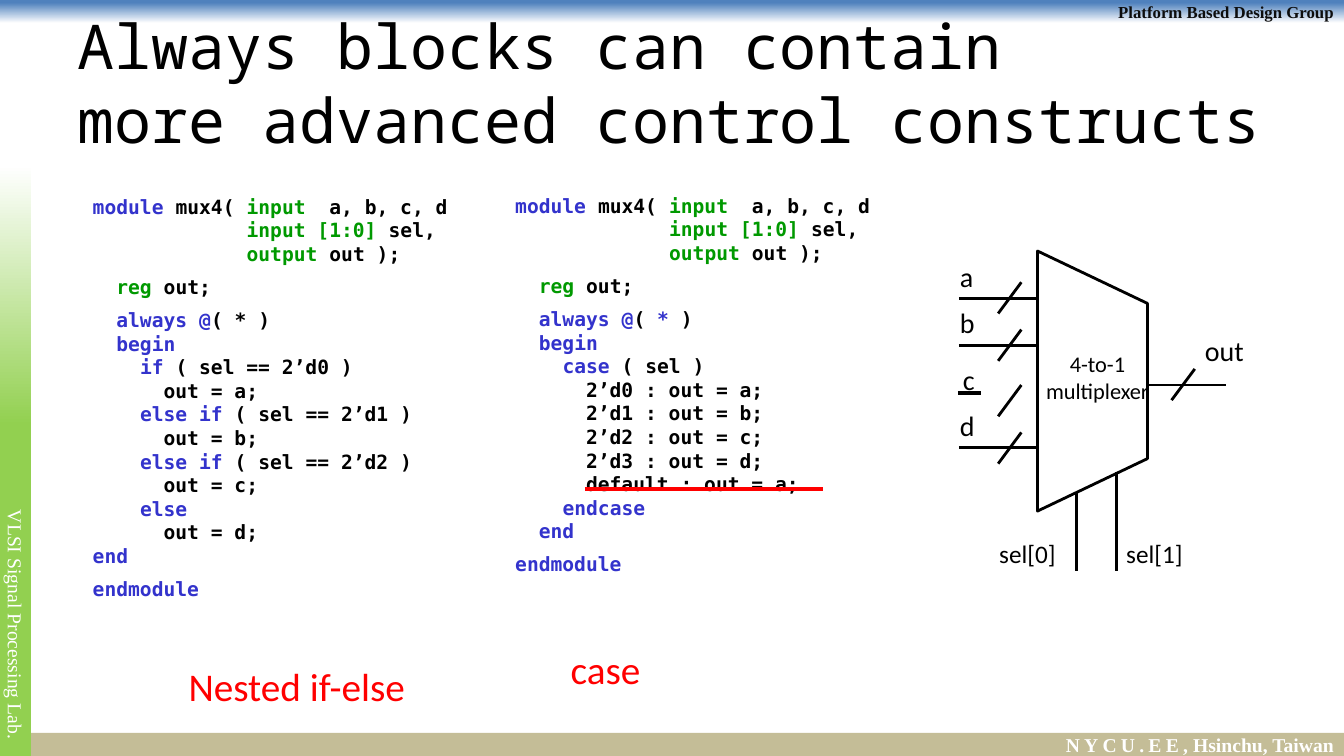
from pptx import Presentation
from pptx.dml.color import RGBColor
from pptx.enum.shapes import MSO_CONNECTOR, MSO_SHAPE
from pptx.enum.text import MSO_ANCHOR, MSO_AUTO_SIZE, PP_ALIGN
from pptx.oxml.ns import qn
from pptx.util import Inches, Pt
from lxml import etree

STRAIGHT, RECTANGLE = MSO_CONNECTOR.STRAIGHT, MSO_SHAPE.RECTANGLE
MIDDLE, NO_AUTOFIT = MSO_ANCHOR.MIDDLE, MSO_AUTO_SIZE.NONE
LEFT, CENTER, RIGHT = PP_ALIGN.LEFT, PP_ALIGN.CENTER, PP_ALIGN.RIGHT

BLACK = RGBColor(0, 0, 0)
WHITE = RGBColor(0xFF, 0xFF, 0xFF)
RED = RGBColor(0xFF, 0, 0)
INK = RGBColor(0x0D, 0x0D, 0x0D)
SKY = RGBColor(0x4F, 0x81, 0xBD)
SAND = RGBColor(0xC4, 0xBD, 0x97)
LEAF = RGBColor(0x92, 0xD0, 0x50)
KEYWORD = RGBColor(0x33, 0x33, 0xCC)
TYPE = RGBColor(0, 0x99, 0)

BODY, CODE, HEADING, BAND = "Calibri", "DejaVu Sans Mono", "Noto Sans Mono", "Times New Roman"

HEADER = [
    [("module", KEYWORD), (" mux4( ", BLACK), ("input", TYPE), ("  a, b, c, d", BLACK)],
    [("             ", BLACK), ("input [1:0] ", TYPE), ("sel,", BLACK)],
    [("             ", BLACK), ("output", TYPE), (" out );", BLACK)],
    [("  ", BLACK), ("reg", TYPE), (" out;", BLACK)],
]
BEGIN = [("  ", BLACK), ("begin", KEYWORD)]
ENDMODULE = [("endmodule", KEYWORD)]


def branch(keyword, condition, value):
    return [
        [("    ", BLACK), (keyword, KEYWORD), (condition, BLACK)],
        [(f"      out = {value};", BLACK)],
    ]


IF_ELSE = [
    *HEADER,
    [("  ", BLACK), ("always @", KEYWORD), ("( * )", BLACK)],
    BEGIN,
    *branch("if", " ( sel == 2’d0 )", "a"),
    *branch("else if", " ( sel == 2’d1 )", "b"),
    *branch("else if", " ( sel == 2’d2 )", "c"),
    *branch("else", "", "d"),
    [("end", KEYWORD)],
    ENDMODULE,
]
CASE = [
    *HEADER,
    [("  ", BLACK), ("always @", KEYWORD), ("( ", BLACK), ("*", KEYWORD), (" )", BLACK)],
    BEGIN,
    [("    ", BLACK), ("case", KEYWORD), (" ( sel )", BLACK)],
    *[[(f"      2’d{i} : out = {value};", BLACK)] for i, value in enumerate("abcd")],
    [("      default : out = a;", BLACK)],
    [("    ", BLACK), ("endcase", KEYWORD)],
    [("  ", BLACK), ("end", KEYWORD)],
    ENDMODULE,
]


class SlideBuilder:
    def __init__(self, slide):
        self.slide = slide

    def run(self, paragraph, text, size, color, font=BODY, bold=False, spacing=0):
        run = paragraph.add_run()
        run.text = text
        run.font.name = font
        run.font.size = Pt(size)
        run.font.bold = bold
        run.font.color.rgb = color
        if spacing:
            run.font._element.set("spc", str(spacing * 100))

    def title(self, lines):
        shape = self.slide.shapes.title
        shape.left, shape.top = Inches(0.67), Inches(0.3)
        shape.width, shape.height = Inches(12), Inches(1.03)
        shape.element.getparent().append(shape.element)
        frame = shape.text_frame
        frame.auto_size = NO_AUTOFIT
        frame.vertical_anchor = MIDDLE
        paragraph = frame.paragraphs[0]
        paragraph.alignment = LEFT
        for index, line in enumerate(lines):
            if index:
                paragraph.add_line_break()
            self.run(paragraph, line, 44, BLACK, HEADING)

    def band(self, left, top, width, height, color, stop=None, angle=0):
        shape = self.slide.shapes.add_shape(
            RECTANGLE, Inches(left), Inches(top), Inches(width), Inches(height))
        shape.shadow.inherit = False
        shape.line.fill.background()
        if stop is None:
            shape.fill.solid()
            shape.fill.fore_color.rgb = color
        else:
            shape.fill.gradient()
            shape.fill.gradient_angle = angle
            first, last = shape.fill.gradient_stops
            first.position, first.color.rgb = stop, color
            last.position, last.color.rgb = 1, WHITE
        shape.text_frame.vertical_anchor = MIDDLE
        paragraph = shape.text_frame.paragraphs[0]
        paragraph.alignment = RIGHT
        return shape.text_frame, paragraph

    def box(self, left, top, width, height, inset=0.0, wrap=True):
        shape = self.slide.shapes.add_textbox(
            Inches(left), Inches(top), Inches(width), Inches(height))
        frame = shape.text_frame
        frame.word_wrap = wrap
        frame.margin_left = frame.margin_right = Inches(inset)
        frame.margin_top = frame.margin_bottom = Inches(inset)
        return frame

    def label(self, text, left, top, width, height, size=20, color=BLACK):
        frame = self.box(left, top, width, height, wrap=False)
        self.run(frame.paragraphs[0], text, size, color)

    def code(self, lines, left, top, width, height):
        frame = self.box(left, top, width, height, 0.17)
        for index, line in enumerate(lines):
            paragraph = frame.paragraphs[0] if index == 0 else frame.add_paragraph()
            if line in (HEADER[-1], ENDMODULE):
                paragraph.space_before = Pt(7)
            if line is HEADER[-1]:
                paragraph.space_after = Pt(7)
            for text, color in line:
                if text:
                    self.run(paragraph, text, 14, color, CODE, True)

    def line(self, x1, y1, x2, y2, color=BLACK, width=2):
        connector = self.slide.shapes.add_connector(
            STRAIGHT, Inches(x1), Inches(y1), Inches(x2), Inches(y2))
        connector.line.color.rgb = color
        connector.line.width = Pt(width)
        etree.SubElement(connector._element.spPr, qn("a:effectLst"))

    def outline(self, points):
        corners = [(Inches(x), Inches(y)) for x, y in points]
        builder = self.slide.shapes.build_freeform(*corners[0])
        builder.add_line_segments(corners[1:], close=True)
        shape = builder.convert_to_shape()
        shape.shadow.inherit = False
        shape.fill.background()
        shape.line.color.rgb = BLACK
        shape.line.width = Pt(2)


def main():
    presentation = Presentation()
    presentation.slide_width, presentation.slide_height = Inches(13.33), Inches(7.5)
    builder = SlideBuilder(presentation.slides.add_slide(presentation.slide_layouts[5]))

    _, paragraph = builder.band(0, 0, 13.33, 0.23, SKY, 0.12, 270)
    builder.run(paragraph, "Platform Based Design Group", 12, INK, BAND, True)
    _, paragraph = builder.band(0, 7.27, 13.33, 0.23, SAND)
    builder.run(paragraph, "NYCU.EE", 14, WHITE, BAND, True, 3)
    builder.run(paragraph, ", Hsinchu, Taiwan", 14, WHITE, BAND, True)
    frame, paragraph = builder.band(0, 1.64, 0.31, 5.86, LEAF, 0.56, 90)
    frame._txBody.bodyPr.set("vert", "vert")
    frame.margin_top = Inches(3.35)
    paragraph.alignment = CENTER
    builder.run(paragraph, "VLSI Signal Processing Lab.", 14, WHITE, BAND)

    builder.title(["Always blocks can contain ", "more advanced control constructs"])
    builder.code(IF_ELSE, 0.75, 1.76, 3.94, 4.46)
    builder.code(CASE, 4.94, 1.75, 4, 4.23)
    builder.label("Nested if-else", 1.87, 6.57, 2.18, 0.47, 28, RED)
    builder.label("case", 5.66, 6.4, 0.7, 0.47, 28, RED)

    builder.outline([(10.29, 5.07), (10.29, 2.49), (11.38, 3.01), (11.38, 4.55)])
    for y in (2.96, 3.43, 4.44):
        builder.line(9.51, y, 10.29, y)
    builder.line(9.5, 3.9, 9.73, 3.9, width=3)
    builder.line(11.38, 3.82, 12.16, 3.82)
    builder.line(10.68, 4.88, 10.68, 5.66)
    builder.line(11.07, 4.68, 11.07, 5.66)
    for x, y in ((9.9, 2.8), (9.9, 3.27), (9.9, 3.82), (9.9, 4.29), (11.62, 3.66)):
        builder.line(x + 0.23, y, x, y + 0.31)

    for name, left, top in (("a", 9.52, 2.57), ("b", 9.52, 3.03), ("c", 9.55, 3.6), ("d", 9.52, 4.05)):
        builder.label(name, left, top, 0.17, 0.36)
    builder.label("out", 11.95, 3.31, 0.41, 0.36)
    builder.label("sel[0]", 9.91, 5.34, 0.65, 0.32, 18)
    builder.label("sel[1]", 11.17, 5.34, 0.69, 0.32, 18)
    frame = builder.box(10.36, 3.47, 1.05, 0.55)
    for paragraph, text in zip((frame.paragraphs[0], frame.add_paragraph()), ("4-to-1", "multiplexer")):
        paragraph.alignment = CENTER
        builder.run(paragraph, text, 16, BLACK)

    builder.line(5.8, 4.85, 8.16, 4.85, RED, 3)
    presentation.save("out.pptx")


if __name__ == "__main__":
    main()
